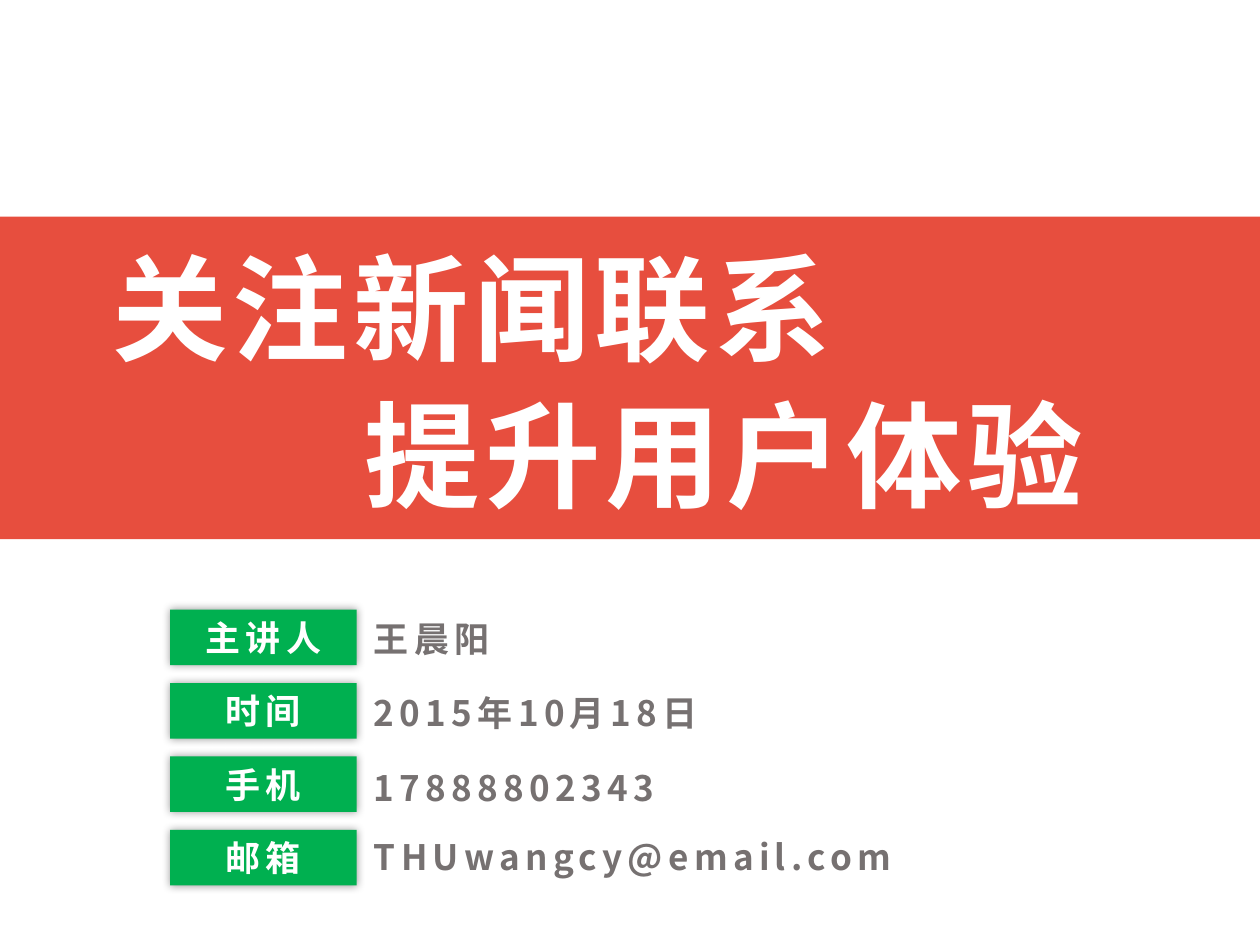
import pptx
import pptx.util
import pptx.dml.color
import pptx.enum.shapes
import pptx.enum.text
import pptx.oxml
import pptx.oxml.ns
from lxml import etree

Cm = pptx.util.Cm
RGBColor = pptx.dml.color.RGBColor
PP_ALIGN = pptx.enum.text.PP_ALIGN
qn = pptx.oxml.ns.qn

FONT = "Noto Sans CJK SC"
RED = RGBColor(0xE7, 0x4E, 0x3E)
GREEN = RGBColor(0x00, 0xB0, 0x50)
GRAY = RGBColor(0x76, 0x71, 0x71)
WHITE = RGBColor(0xFF, 0xFF, 0xFF)

TITLES = [
    ("关注新闻联系", -1.65, 4.65, 1.35),
    ("提升用户体验", 4.11, 7.62, 0),
]
CONTACTS = [
    ("主讲人", "王晨阳", 12.32, 4.5),
    ("时间", "2015年10月18日", 13.82, 8.23),
    ("手机", "17888802343", 15.32, 8.23),
    ("邮箱", "THUwangcy@email.com", 16.71, 11.53),
]
LABEL_LEFT, LABEL_TOP, LABEL_PITCH = 3.43, 12.29, 1.48
LABEL_WIDTH, ROW_HEIGHT = 3.76, 1.12
VALUE_LEFT = 7.29
SHADOW = (
    '<a:effectLst xmlns:a="http://schemas.openxmlformats.org/drawingml/2006/main">'
    '<a:outerShdw blurRad="63500" algn="ctr" rotWithShape="0">'
    '<a:srgbClr val="000000"><a:alpha val="40000"/></a:srgbClr>'
    '</a:outerShdw></a:effectLst>'
)


def write(box, text, size, color, align):
    para = box.text_frame.paragraphs[0]
    para.text = text
    para.alignment = align
    span = para.runs[0]
    span.font.size = pptx.util.Pt(size)
    span.font.bold = True
    span.font.name = FONT
    span.font.color.rgb = color
    properties = span.font._element
    properties.set("spc", "300")
    east_asian = etree.Element(qn("a:ea"), typeface=FONT)
    properties.find(qn("a:latin")).addnext(east_asian)
    return para


def add_block(page, left, top, width, height, color):
    block = page.shapes.add_shape(
        pptx.enum.shapes.MSO_SHAPE.RECTANGLE,
        Cm(left), Cm(top), Cm(width), Cm(height))
    block.shadow.inherit = False
    block.fill.solid()
    block.fill.fore_color.rgb = color
    block.line.fill.background()
    return block


def add_label(page, text, top):
    label = add_block(page, LABEL_LEFT, top, LABEL_WIDTH, ROW_HEIGHT, GREEN)
    properties = label._element.spPr
    properties.remove(properties.find(qn("a:effectLst")))
    properties.append(pptx.oxml.parse_xml(SHADOW))
    label.text_frame.vertical_anchor = pptx.enum.text.MSO_ANCHOR.MIDDLE
    write(label, text, 20, WHITE, PP_ALIGN.CENTER)


def add_text(page, text, left, top, width, height, size, color, align):
    box = page.shapes.add_textbox(Cm(left), Cm(top), Cm(width), Cm(height))
    box.text_frame.word_wrap = True
    return write(box, text, size, color, align)


def main():
    deck = pptx.Presentation()
    deck.slide_width, deck.slide_height = Cm(25.4), Cm(19.05)
    page = deck.slides.add_slide(deck.slide_layouts[6])

    add_block(page, 0, 4.37, 25.4, 6.5, RED)
    for text, left, top, indent in TITLES:
        para = add_text(page, text, left, top, 20.98, 3.07, 66, WHITE, PP_ALIGN.CENTER)
        if indent:
            para._p.get_or_add_pPr().set("marL", str(Cm(indent)))

    for row, (label, value, top, width) in enumerate(CONTACTS):
        add_label(page, label, LABEL_TOP + row * LABEL_PITCH)
        add_text(page, value, VALUE_LEFT, top, width, ROW_HEIGHT, 20, GRAY, PP_ALIGN.LEFT)

    deck.save("out.pptx")


if __name__ == "__main__":
    main()
